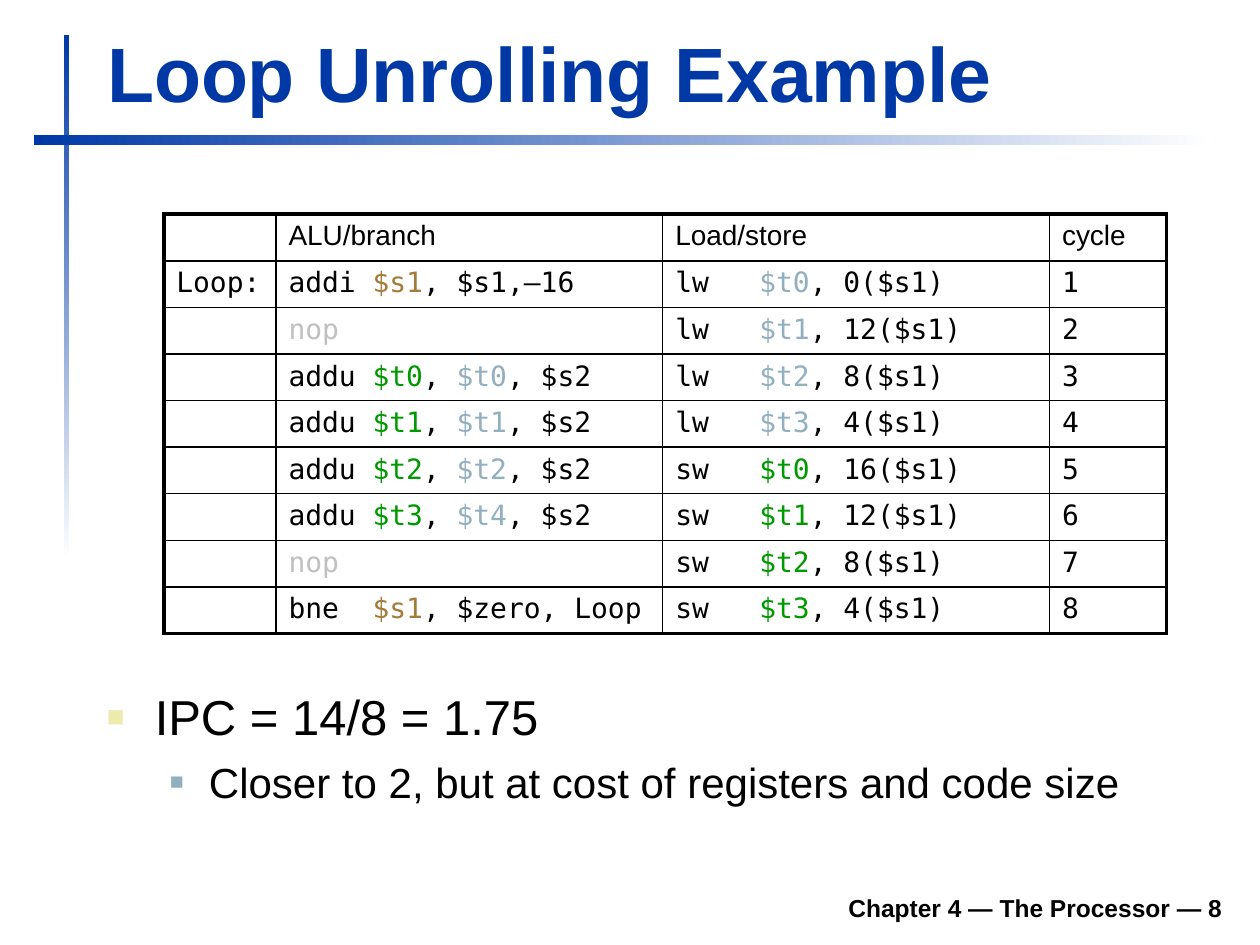
from dataclasses import dataclass

from lxml.etree import SubElement
from pptx import Presentation
from pptx.dml.color import RGBColor
from pptx.enum.shapes import MSO_SHAPE
from pptx.enum.text import MSO_ANCHOR, PP_ALIGN
from pptx.oxml.ns import qn
from pptx.util import Inches, Pt

BLUE = RGBColor(0x00, 0x39, 0xA6)
WHITE = RGBColor(0xFF, 0xFF, 0xFF)
BLACK = RGBColor(0x00, 0x00, 0x00)
BROWN = RGBColor(0xA4, 0x7B, 0x38)
STEEL = RGBColor(0x91, 0xAF, 0xBF)
GREEN = RGBColor(0x00, 0x99, 0x00)
GREY = RGBColor(0xC0, 0xC0, 0xC0)
CREAM = RGBColor(0xEC, 0xEA, 0xAC)
SANS, MONO = "Arial", "DejaVu Sans Mono"


@dataclass(frozen=True)
class Part:
    text: str
    color: RGBColor = BLACK


@dataclass(frozen=True)
class Bar:
    left: float
    top: float
    width: float
    height: float
    angle: int


@dataclass(frozen=True)
class Point:
    text: str
    size: int
    left: float
    hang: float
    color: RGBColor
    scale: int
    before: int


BARS = [Bar(0.51, 0.28, 0.04, 4.17, 270), Bar(0.27, 1.07, 9.37, 0.08, 0)]
POINTS = [
    Point("IPC = 14/8 = 1.75", 28, 0.38, 0.38, CREAM, 60, 0),
    Point("Closer to 2, but at cost of registers and code size",
          24, 0.81, 0.31, STEEL, 55, 6),
]


def step(code: str, reg: str, rest: str, color: RGBColor) -> list[Part]:
    return [Part(f"{code:<5}"), Part(reg, color), Part(f", {rest}")]


def add(into: str, term: str) -> list[Part]:
    return [Part("addu "), Part(into, GREEN), Part(", "),
            Part(term, STEEL), Part(", $s2")]


def load(reg: str, place: str) -> list[Part]:
    return step("lw", reg, place, STEEL)


def store(reg: str, place: str) -> list[Part]:
    return step("sw", reg, place, GREEN)


IDLE = [Part("nop", GREY)]
HEADS = ["", "ALU/branch", "Load/store", "cycle"]
STEPS = [
    (step("addi", "$s1", "$s1,–16", BROWN), load("$t0", "0($s1)")),
    (IDLE, load("$t1", "12($s1)")),
    (add("$t0", "$t0"), load("$t2", "8($s1)")),
    (add("$t1", "$t1"), load("$t3", "4($s1)")),
    (add("$t2", "$t2"), store("$t0", "16($s1)")),
    (add("$t3", "$t4"), store("$t1", "12($s1)")),
    (IDLE, store("$t2", "8($s1)")),
    (step("bne", "$s1", "$zero, Loop", BROWN), store("$t3", "4($s1)")),
]
WIDTHS = [0.89, 3.07, 3.07, 0.93]
HEIGHT = 0.37


def write(line, text, *, size=16, face=SANS, color=BLACK, bold=False,
          align=PP_ALIGN.LEFT) -> None:
    parts = [Part(text, color)] if isinstance(text, str) else text
    line.alignment = align
    for part in parts:
        run = line.add_run()
        run.text = part.text
        font = run.font
        font.size, font.name, font.bold = Pt(size), face, bold
        font.color.rgb = part.color


def draw_bar(slide, bar: Bar) -> None:
    shape = slide.shapes.add_shape(
        MSO_SHAPE.RECTANGLE, Inches(bar.left), Inches(bar.top),
        Inches(bar.width), Inches(bar.height))
    shape.shadow.inherit = False
    shape.line.fill.background()
    shape.fill.gradient()
    shape.fill.gradient_angle = bar.angle
    for stop, color in zip(shape.fill.gradient_stops, (BLUE, WHITE)):
        stop.color.rgb = color


def draw_title(slide) -> None:
    title = slide.shapes.title
    title.left, title.top = Inches(0.75), Inches(0.16)
    title.width, title.height = Inches(9.03), Inches(0.83)
    title.text_frame.vertical_anchor = MSO_ANCHOR.BOTTOM
    write(title.text_frame.paragraphs[0], "Loop Unrolling Example",
          size=44, color=BLUE, bold=True)


def draw_foot(slide) -> None:
    frame = slide.shapes.add_textbox(
        Inches(1.85), Inches(6.98), Inches(7.95), Inches(0.39)).text_frame
    frame.word_wrap = True
    frame.vertical_anchor = MSO_ANCHOR.BOTTOM
    write(frame.paragraphs[0], "Chapter 4 — The Processor — 8",
          size=14, bold=True, align=PP_ALIGN.RIGHT)


def add_mark(line, point: Point) -> None:
    props = line._p.get_or_add_pPr()
    props.set("marL", str(Inches(point.left)))
    props.set("indent", str(-Inches(point.hang)))
    tint = SubElement(props, qn("a:buClr"))
    SubElement(tint, qn("a:srgbClr"), val=str(point.color))
    SubElement(props, qn("a:buSzPct"), val=str(point.scale * 1000))
    SubElement(props, qn("a:buFont"), typeface=SANS)
    SubElement(props, qn("a:buChar"), char="■")


def draw_points(slide) -> None:
    frame = slide.shapes.add_textbox(
        Inches(0.75), Inches(5.35), Inches(9.05), Inches(1.47)).text_frame
    frame.word_wrap = True
    frame.margin_top = Inches(0.1)
    for level, point in enumerate(POINTS):
        line = frame.add_paragraph() if level else frame.paragraphs[0]
        add_mark(line, point)
        line.level = level
        line.space_before = Pt(point.before)
        write(line, point.text, size=point.size)


def set_edge(cell, side: str, width: float) -> None:
    props = cell._tc.get_or_add_tcPr()
    edge = SubElement(props, qn(f"a:ln{side}"), w=str(Pt(width)))
    fill = SubElement(edge, qn("a:solidFill"))
    SubElement(fill, qn("a:srgbClr"), val=str(BLACK))


def draw_table(slide) -> None:
    rows = [HEADS] + [
        ["" if count > 1 else "Loop:", left, right, str(count)]
        for count, (left, right) in enumerate(STEPS, 1)]
    table = slide.shapes.add_table(
        len(rows), len(WIDTHS), Inches(1.3), Inches(1.7),
        Inches(sum(WIDTHS)), Inches(HEIGHT * len(rows))).table
    table.first_row = table.horz_banding = False
    for column, width in zip(table.columns, WIDTHS):
        column.width = Inches(width)
    for i, row in enumerate(rows):
        table.rows[i].height = Inches(HEIGHT)
        for j, text in enumerate(row):
            cell = table.cell(i, j)
            line = cell.text_frame.paragraphs[0]
            if text:
                write(line, text, face=MONO if i else SANS)
            else:
                SubElement(line._p, qn("a:endParaRPr"), sz="1600")
            set_edge(cell, "L", 1 if j else 2.25)
            set_edge(cell, "R", 1 if j < len(row) - 1 else 2.25)
            set_edge(cell, "T", {0: 2.25, 1: 1.5}.get(i, 1))
            set_edge(cell, "B", {0: 1.5, len(rows) - 1: 2.25}.get(i, 1))
            cell.fill.background()


def main() -> None:
    deck = Presentation()
    deck.slide_width, deck.slide_height = Inches(10), Inches(7.5)
    slide = deck.slides.add_slide(deck.slide_layouts[5])
    for bar in BARS:
        draw_bar(slide, bar)
    draw_foot(slide)
    draw_title(slide)
    draw_points(slide)
    draw_table(slide)
    deck.save("out.pptx")


if __name__ == "__main__":
    main()
